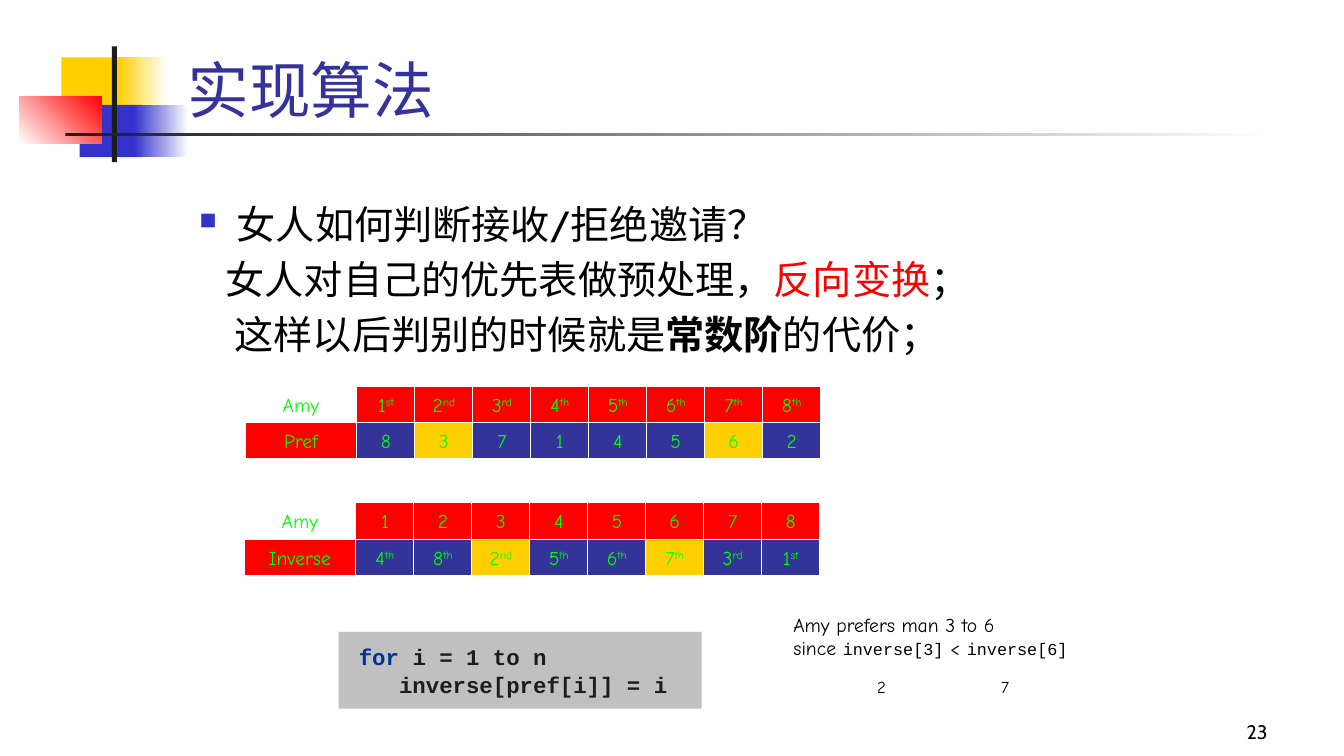
import pptx
import pptx.dml.color
import pptx.enum.shapes
import pptx.enum.text
import pptx.util
from lxml import etree
from pptx.util import Inches

COLORS = {
    "yellow": "FFCF01", "blue": "3333CC", "red": "FF0000", "white": "FFFFFF",
    "ink": "1C1C1C", "navy": "333399", "green": "00FF00", "black": "000000",
    "gray": "C0C0C0", "keyword": "003399",
}
ALIGN = pptx.enum.text.PP_ALIGN
ANCHOR = pptx.enum.text.MSO_ANCHOR
FIT = pptx.enum.text.MSO_AUTO_SIZE
RECTANGLE = pptx.enum.shapes.MSO_SHAPE.RECTANGLE


def rgb(name):
    return pptx.dml.color.RGBColor.from_string(COLORS[name])


class SlideBuilder:
    """Holds the fonts and the current slide, and adds each kind of element."""

    body_font = "Cabin"
    hand_font = "Comic Neue"
    code_font = "Courier New"

    def __init__(self, page):
        self.page = page

    def span(self, para, text, size, font, color, bold=False, raised=False):
        span = para.add_run()
        span.text = text
        span.font.size = pptx.util.Pt(size)
        span.font.name = font
        span.font.bold = bold
        span.font.color.rgb = rgb(color)
        if raised:
            span._r.get_or_add_rPr().set("baseline", "30000")

    def frame(self, box, anchor=ANCHOR.TOP, wrap=True, fit=FIT.NONE, insets=(0.1, 0.05, 0.1, 0.05)):
        frame = box.text_frame
        frame.word_wrap = wrap
        frame.auto_size = fit
        frame.vertical_anchor = anchor
        frame.margin_left, frame.margin_top, frame.margin_right, frame.margin_bottom = map(Inches, insets)
        return frame

    def title(self, text, area):
        box = self.page.shapes.title
        box.left, box.top, box.width, box.height = map(Inches, area)
        para = self.frame(box, ANCHOR.BOTTOM).paragraphs[0]
        para.alignment = ALIGN.LEFT
        self.span(para, text, 44, self.body_font, "navy")

    def text(self, area, **options):
        return self.frame(self.page.shapes.add_textbox(*map(Inches, area)), **options)

    def rectangle(self, area, fill=None, fade=None, angle=0, line=None):
        box = self.page.shapes.add_shape(RECTANGLE, *map(Inches, area))
        box.shadow.inherit = False
        if fade:
            box.fill.gradient()
            box.fill.gradient_angle = angle
            for stop, color in zip(box.fill.gradient_stops, fade):
                stop.color.rgb = rgb(color)
        elif fill:
            box.fill.solid()
            box.fill.fore_color.rgb = rgb(fill)
        else:
            box.fill.background()
        if line:
            box.line.color.rgb = rgb(line)
            box.line.width = pptx.util.Pt(0.75)
        else:
            box.line.fill.background()
        return box

    def cell(self, area, text, fill=None):
        box = self.rectangle(area, fill, line="white")
        para = self.frame(box, ANCHOR.MIDDLE, wrap=False).paragraphs[0]
        para.alignment = ALIGN.CENTER
        ordinal = text[0].isdigit() and len(text) > 1
        self.span(para, text[0] if ordinal else text, 14, self.hand_font, "green")
        if ordinal:
            self.span(para, text[1:], 14, self.hand_font, "green", raised=True)

    def grid(self, left, tops, label, heads, values, marked):
        label_width, width, height = 1.11, 0.575, 0.36
        for top, name, fill in zip(tops, ("Amy", label), (None, "red")):
            self.cell((left, top, label_width, height), name, fill)
        for column, (head, value) in enumerate(zip(heads, values)):
            x = left + label_width + column * width
            self.cell((x, tops[0], width, height), head, "red")
            self.cell((x, tops[1], width, height), value, "yellow" if column in marked else "navy")

    def square_bullet(self, para):
        properties = para._p.get_or_add_pPr()
        namespace = properties.nsmap["a"]
        color = etree.SubElement(properties, f"{{{namespace}}}buClr")
        etree.SubElement(color, f"{{{namespace}}}srgbClr", val=COLORS["blue"])
        etree.SubElement(properties, f"{{{namespace}}}buSzPct", val="60000")
        etree.SubElement(properties, f"{{{namespace}}}buChar", char="■")

    def points(self, area, lines):
        frame = self.text(area)
        for number, (margin, indent, spans) in enumerate(lines):
            para = frame.add_paragraph() if number else frame.paragraphs[0]
            properties = para._p.get_or_add_pPr()
            properties.set("marL", str(Inches(margin)))
            properties.set("indent", str(Inches(indent)))
            if number:
                para.space_before = pptx.util.Pt(5.6)
            else:
                self.square_bullet(para)
            for text, color, bold in spans:
                self.span(para, text, 28, self.body_font, color, bold)

    def code(self, area, lines):
        frame = self.frame(self.rectangle(area, "gray"), insets=(0.2, 0.1, 0.15, 0.1))
        for number, spans in enumerate(lines):
            para = frame.add_paragraph() if number else frame.paragraphs[0]
            para.alignment = ALIGN.LEFT
            para.line_spacing = pptx.util.Pt(20)
            for text, color in spans:
                self.span(para, text, 16, self.code_font, color, bold=True)

    def note(self, area, lines):
        para = self.text(area, wrap=False, fit=FIT.SHAPE_TO_FIT_TEXT).paragraphs[0]
        for number, spans in enumerate(lines):
            if number:
                para.add_line_break()
            for text, size, font in spans:
                self.span(para, text, size, font, "black")


def main():
    deck = pptx.Presentation()
    deck.slide_width, deck.slide_height = Inches(13.33), Inches(7.5)
    slide = SlideBuilder(deck.slides.add_slide(deck.slide_layouts[5]))
    hand, mono = slide.hand_font, slide.code_font

    slide.rectangle((0.61, 0.57, 0.64, 0.52), "yellow")
    slide.rectangle((1.17, 0.57, 0.48, 0.52), fade=("yellow", "white"))
    slide.rectangle((0.79, 1.04, 0.62, 0.52), "blue")
    slide.rectangle((1.33, 1.04, 0.54, 0.52), fade=("blue", "white"))
    slide.rectangle((0.19, 0.96, 0.82, 0.46), fade=("white", "red"), angle=45)
    slide.rectangle((1.11, 0.46, 0.05, 1.15), "ink")
    slide.rectangle((0.65, 1.32, 12, 0.03), fade=("ink", "white"))

    slide.title("实现算法", (1.76, 0.05, 11.36, 1.25))
    number = slide.text((9.89, 6.92, 2.78, 0.5), anchor=ANCHOR.BOTTOM).paragraphs[0]
    number.alignment = ALIGN.RIGHT
    slide.span(number, "23", 14, slide.body_font, "black")

    slide.points((1.88, 1.94, 8.5, 3.95), [
        (0.37, -0.37, [("女人如何判断接收/拒绝邀请？", "black", False)]),
        (0.26, 0, [("女人对自己的优先表做预处理，", "black", False),
                   ("反向变换", "red", False), ("；", "black", False)]),
        (0.35, 0, [("这样以后判别的时候就是", "black", False),
                   ("常数阶", "black", True), ("的代价；", "black", False)]),
    ])

    ranks = ["1st", "2nd", "3rd"] + [f"{place}th" for place in range(4, 9)]
    preferences = [8, 3, 7, 1, 4, 5, 6, 2]
    men = range(1, 9)
    inverse = [ranks[preferences.index(man)] for man in men]
    slide.grid(2.43, (3.83, 4.19), "Pref", ranks, map(str, preferences), (1, 6))
    slide.grid(2.42, (4.99, 5.35), "Inverse", map(str, men), inverse, (2, 5))

    slide.code((3.36, 6.27, 3.6, 0.76), [
        [("for", "keyword"), (" i = 1 to n", "ink")],
        [("   inverse[pref[i]] = i", "ink")],
    ])
    slide.note((7.77, 6.03, 2.95, 0.57), [
        [("Amy prefers man 3 to 6", 14, hand)],
        [("since ", 14, hand), ("inverse[3]", 12, mono), (" < ", 14, hand), ("inverse[6]", 12, mono)],
    ])
    for left, rank in ((8.6, "2"), (9.83, "7")):
        slide.note((left, 6.66, 0.31, 0.3), [[(rank, 12, hand)]])

    deck.save("out.pptx")


if __name__ == "__main__":
    main()
